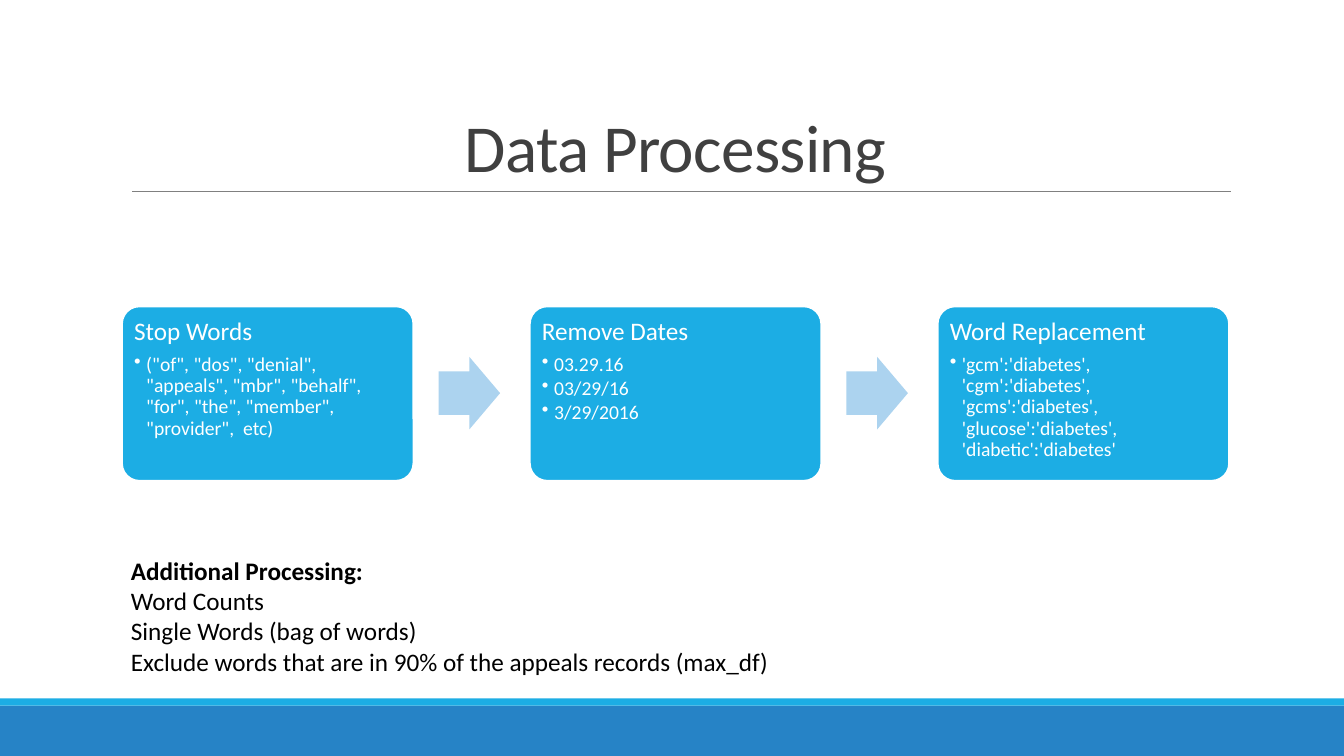
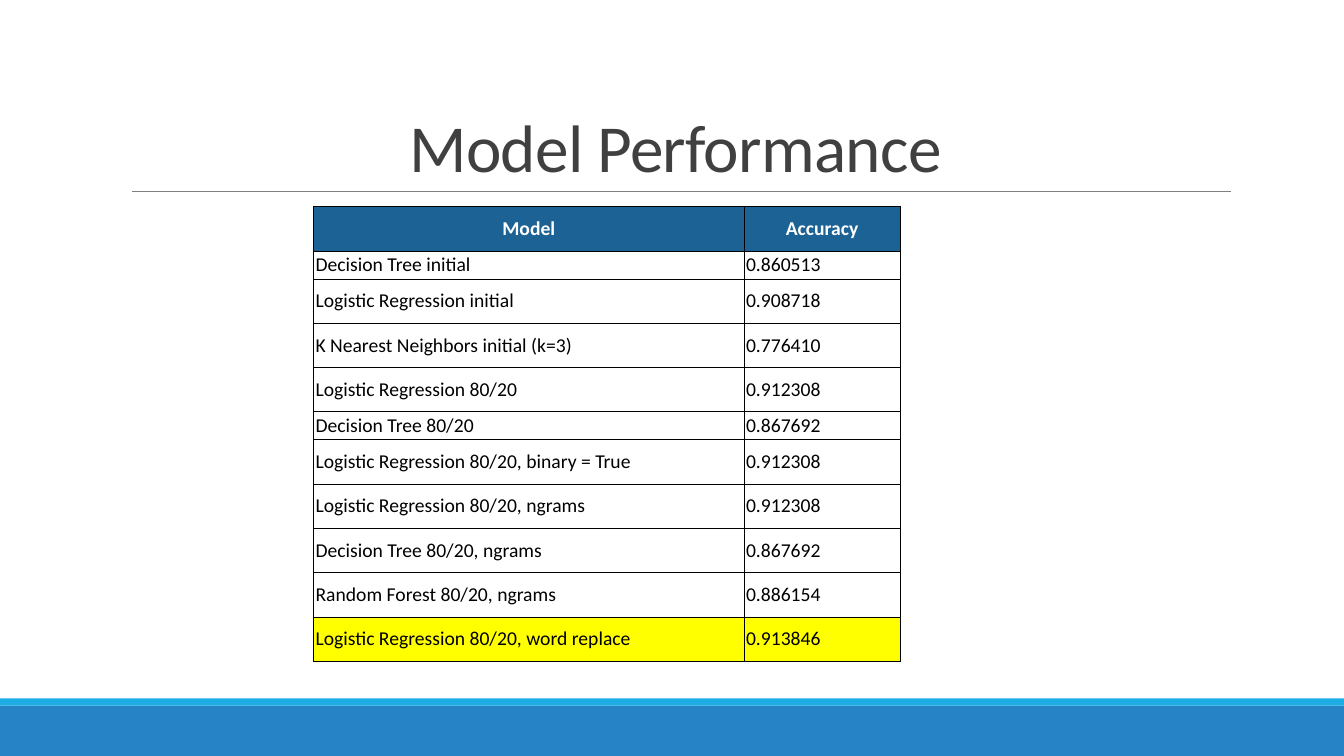
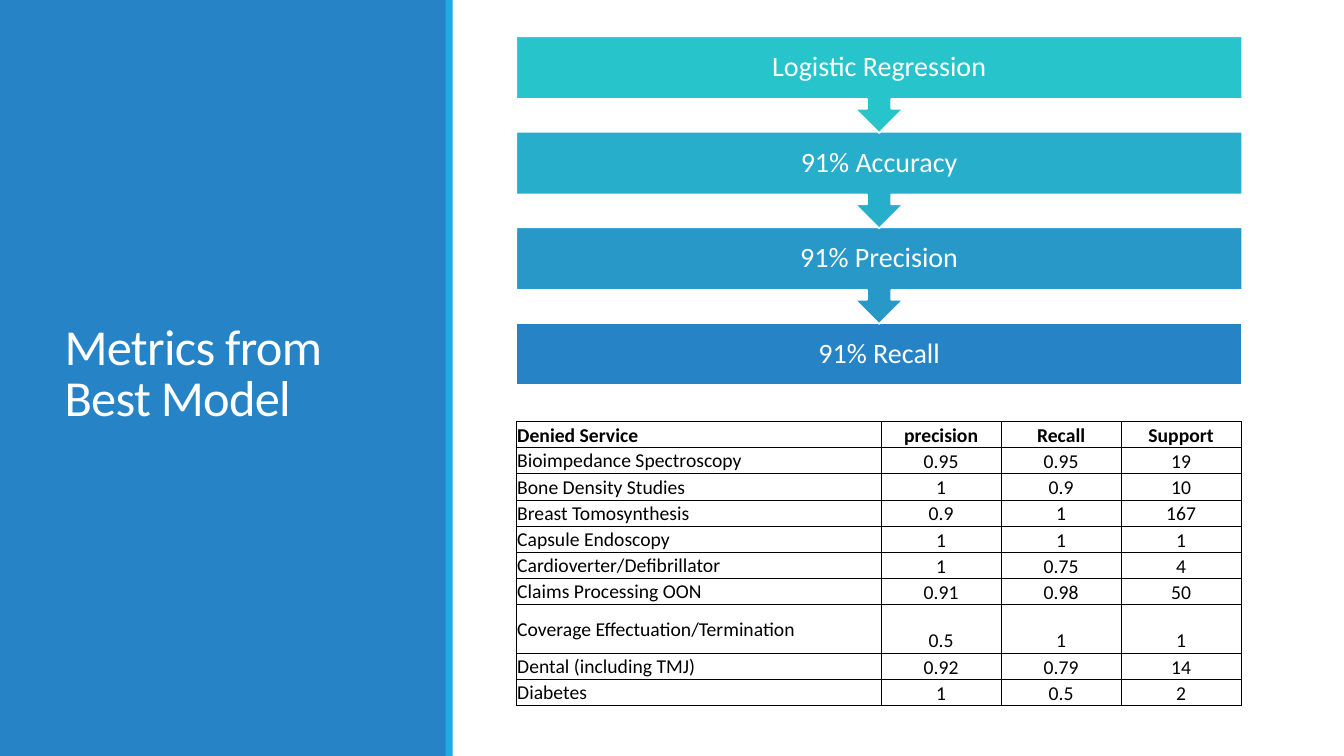
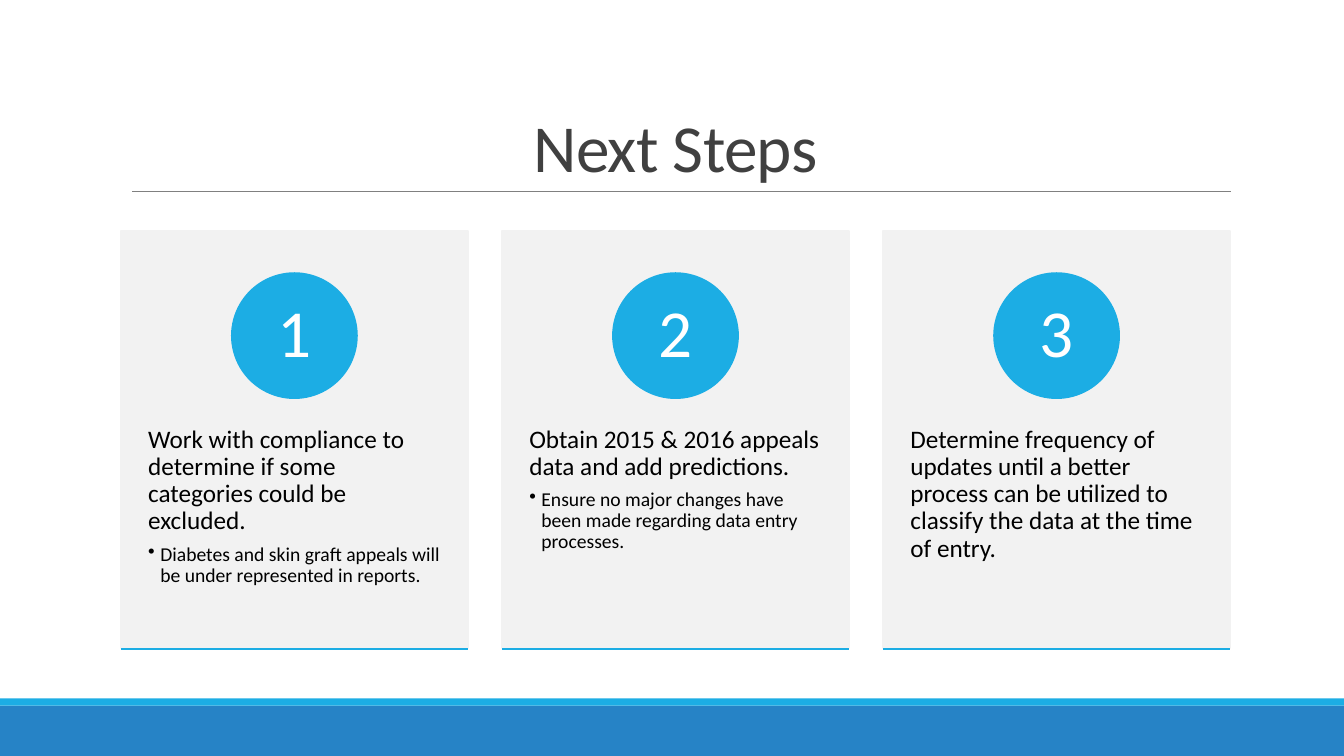
from lxml.etree import SubElement
from pptx import Presentation
from pptx.dml.color import RGBColor
from pptx.enum.shapes import MSO_CONNECTOR, MSO_SHAPE
from pptx.enum.text import MSO_ANCHOR, MSO_AUTO_SIZE, PP_ALIGN
from pptx.oxml.ns import qn
from pptx.util import Inches, Pt

FONT = "Calibri"
COLORS = {
    "blue": "2683C6", "cyan": "1CADE4", "pale": "ACD3EF", "navy": "1D6294",
    "steel": "2798C8", "teal": "27AECA", "aqua": "28C4CC",
    "title": "404040", "rule": "808080", "card": "F2F2F2",
    "yellow": "FFFF00", "white": "FFFFFF", "black": "000000",
}

PROCESS_STEPS = [
    ("Stop Words", ['("of", "dos", "denial", "appeals", "mbr", "behalf", "for", '
                    '"the", "member", "provider",  etc)']),
    ("Remove Dates", ["03.29.16", "03/29/16", "3/29/2016"]),
    ("Word Replacement", ["'gcm':'diabetes', 'cgm':'diabetes', 'gcms':'diabetes', "
                          "'glucose':'diabetes', 'diabetic':'diabetes'"]),
]
EXTRA_PROCESSING = [
    "Additional Processing:", "Word Counts", "Single Words (bag of words)",
    "Exclude words that are in 90% of the appeals records (max_df)",
]
MODEL_ROWS = [
    ("Model", "Accuracy"),
    ("Decision Tree initial", "0.860513"),
    ("Logistic Regression initial", "0.908718"),
    ("K Nearest Neighbors initial (k=3)", "0.776410"),
    ("Logistic Regression 80/20", "0.912308"),
    ("Decision Tree 80/20", "0.867692"),
    ("Logistic Regression 80/20, binary = True", "0.912308"),
    ("Logistic Regression 80/20, ngrams", "0.912308"),
    ("Decision Tree 80/20, ngrams", "0.867692"),
    ("Random Forest 80/20, ngrams", "0.886154"),
    ("Logistic Regression 80/20, word replace", "0.913846"),
]
METRICS = [("Logistic Regression", "aqua"), ("91% Accuracy", "teal"),
           ("91% Precision", "steel"), ("91% Recall", "blue")]
SERVICE_ROWS = [
    ("Denied Service", "precision", "Recall", "Support"),
    ("Bioimpedance Spectroscopy", "0.95", "0.95", "19"),
    ("Bone Density Studies", "1", "0.9", "10"),
    ("Breast Tomosynthesis", "0.9", "1", "167"),
    ("Capsule Endoscopy", "1", "1", "1"),
    ("Cardioverter/Defibrillator", "1", "0.75", "4"),
    ("Claims Processing OON", "0.91", "0.98", "50"),
    ("Coverage Effectuation/Termination", "0.5", "1", "1"),
    ("Dental (including TMJ)", "0.92", "0.79", "14"),
    ("Diabetes", "1", "0.5", "2"),
]
NEXT_STEPS = [
    ("Work with compliance to determine if some categories could be excluded.",
     ["Diabetes and skin graft appeals will be under represented in reports."]),
    ("Obtain 2015 & 2016 appeals data and add predictions.",
     ["Ensure no major changes have been made regarding data entry processes."]),
    ("Determine frequency of updates until a better process can be utilized to "
     "classify the data at the time of entry.", []),
]


def rgb(name):
    """Return the named colour."""
    return RGBColor.from_string(COLORS[name])


def format_paragraph(p, size, color, bold=False, align=PP_ALIGN.LEFT,
                     spacing=None, after=0):
    """Format a paragraph and its runs; after is a share of the text size."""
    p.alignment = align
    if spacing:
        p.line_spacing = spacing
    p.space_after = Pt(size * after)
    for r in p.runs:
        r.font.name = FONT
        r.font.size = Pt(size)
        r.font.bold = bold
        r.font.color.rgb = rgb(color)


def add_bullet(p):
    """Give a paragraph a hanging bullet."""
    pPr = p._p.get_or_add_pPr()
    pPr.set("marL", str(Inches(0.12)))
    pPr.set("indent", str(-Inches(0.12)))
    SubElement(pPr, qn("a:buChar")).set("char", "•")


def set_frame(tf, margins, anchor=MSO_ANCHOR.TOP):
    """Set wrapping, anchor and the left, top, right and bottom margins."""
    tf.word_wrap = True
    tf.vertical_anchor = anchor
    (tf.margin_left, tf.margin_top,
     tf.margin_right, tf.margin_bottom) = [Inches(m) for m in margins]


def add_box(s, kind, x, y, w, h, fill, line=None):
    """Add a filled preset shape, outlined only if a line colour is named."""
    sp = s.shapes.add_shape(kind, Inches(x), Inches(y), Inches(w), Inches(h))
    sp.shadow.inherit = False
    sp.fill.solid()
    sp.fill.fore_color.rgb = rgb(fill)
    if line:
        sp.line.color.rgb = rgb(line)
        sp.line.width = Pt(1.25)
    else:
        sp.line.fill.background()
    return sp


def add_rule(s, x, y, w, color, width):
    """Add a horizontal line."""
    line = s.shapes.add_connector(MSO_CONNECTOR.STRAIGHT, Inches(x), Inches(y),
                                  Inches(x + w), Inches(y))
    line.line.color.rgb = rgb(color)
    line.line.width = Pt(width)
    SubElement(line._element.spPr, qn("a:effectLst"))
    return line


def write_label(sp, text, size, margins):
    """Write one centred white line in a shape."""
    tf = sp.text_frame
    tf.text = text
    set_frame(tf, margins, MSO_ANCHOR.MIDDLE)
    format_paragraph(tf.paragraphs[0], size, "white", align=PP_ALIGN.CENTER,
                     spacing=0.9)


def write_outline(sp, heading, points, color, margins):
    """Write a heading with bullets below it in a shape."""
    tf = sp.text_frame
    tf.text = heading
    set_frame(tf, margins)
    format_paragraph(tf.paragraphs[0], 18, color, spacing=0.9, after=0.35)
    for point in points:
        p = tf.add_paragraph()
        p.text = point
        p.level = 1
        format_paragraph(p, 14, color, spacing=0.9, after=0.15)
        add_bullet(p)


def add_title(s, text, x=1.2, y=0.31, w=11, h=1.59, size=48, color="title",
              align=PP_ALIGN.CENTER, anchor=MSO_ANCHOR.BOTTOM):
    """Place and format the title placeholder."""
    title = s.shapes.title
    title.left, title.top = Inches(x), Inches(y)
    title.width, title.height = Inches(w), Inches(h)
    tf = title.text_frame
    tf.text = text
    tf.auto_size = MSO_AUTO_SIZE.NONE
    set_frame(tf, (0.1, 0.05, 0.1, 0.05), anchor)
    p = tf.paragraphs[0]
    format_paragraph(p, size, color, align=align, spacing=0.85)
    p.runs[0].font._element.set("spc", "-50")


def decorate_layout(s):
    """Give the layout of a slide its bottom bands and title rule."""
    layout = s.slide_layout
    for ph in list(layout.placeholders):
        if ph.placeholder_format.idx >= 10:
            layout.shapes.element.remove(ph.element)
    for part in (add_box(s, MSO_SHAPE.RECTANGLE, 0, 7, 13.33, 0.5, "blue"),
                 add_box(s, MSO_SHAPE.RECTANGLE, 0, 6.93, 13.33, 0.07, "cyan"),
                 add_rule(s, 1.31, 1.9, 10.9, "rule", 0.5)):
        layout.shapes.element.append(part.element)


def add_borders(cell):
    """Draw thin black lines around a table cell."""
    tcPr = cell._tc.get_or_add_tcPr()
    for side in ("a:lnL", "a:lnR", "a:lnT", "a:lnB"):
        ln = SubElement(tcPr, qn(side), w=str(Pt(0.5)))
        fill = SubElement(ln, qn("a:solidFill"))
        SubElement(fill, qn("a:srgbClr"), val=COLORS["black"])


def add_grid(s, x, y, widths, heights, rows, margins, style):
    """Add a table; style(i, j) gives fill, text colour, alignment and anchor."""
    table = s.shapes.add_table(len(rows), len(widths), Inches(x), Inches(y),
                               Inches(sum(widths)), Inches(sum(heights))).table
    table.first_row = table.horz_banding = False
    for column, width in zip(table.columns, widths):
        column.width = Inches(width)
    for i, (row, height) in enumerate(zip(rows, heights)):
        table.rows[i].height = Inches(height)
        for j, text in enumerate(row):
            fill, color, align, anchor = style(i, j)
            cell = table.cell(i, j)
            cell.text = text
            cell.vertical_anchor = anchor
            (cell.margin_left, cell.margin_top,
             cell.margin_right, cell.margin_bottom) = [Inches(m) for m in margins]
            format_paragraph(cell.text_frame.paragraphs[0], 14, color,
                             bold=i == 0, align=align)
            add_borders(cell)
            if fill:
                cell.fill.solid()
                cell.fill.fore_color.rgb = rgb(fill)
            else:
                cell.fill.background()


def model_style(i, j):
    """Style the model table: dark header, best model highlighted."""
    if i == 0:
        return "navy", "white", PP_ALIGN.CENTER, MSO_ANCHOR.MIDDLE
    fill = "yellow" if i == len(MODEL_ROWS) - 1 else "white"
    return fill, "black", PP_ALIGN.LEFT, MSO_ANCHOR.MIDDLE


def service_style(i, j):
    """Style the service table: names left, figures centred at the bottom."""
    align = PP_ALIGN.CENTER if j else PP_ALIGN.LEFT
    anchor = MSO_ANCHOR.MIDDLE if i and not j else MSO_ANCHOR.BOTTOM
    return None, "black", align, anchor


def fill_processing(s):
    """Show the processing steps as a flow, with further steps below."""
    add_title(s, "Data Processing")
    for i, (heading, points) in enumerate(PROCESS_STEPS):
        x = 1.21 + i * 4.045
        step = add_box(s, MSO_SHAPE.ROUNDED_RECTANGLE, x, 3.04, 2.89, 1.73,
                       "cyan", "white")
        step.adjustments[0] = 0.1
        write_outline(step, heading, points, "white", (0.07,) * 4)
        if i < len(PROCESS_STEPS) - 1:
            arrow = add_box(s, MSO_SHAPE.RIGHT_ARROW, x + 3.14, 3.54, 0.61, 0.72,
                            "pale")
            arrow.adjustments[0] = 0.6
    box = s.shapes.add_textbox(Inches(1.2), Inches(5.46), Inches(6.95), Inches(1.31))
    tf = box.text_frame
    tf.word_wrap = True
    tf.text = "\n".join(EXTRA_PROCESSING)
    for i, p in enumerate(tf.paragraphs):
        format_paragraph(p, 18, "black", bold=i == 0)


def fill_performance(s):
    """Compare the accuracy of the models."""
    add_title(s, "Model Performance")
    heights = [0.24 if row[0] in ("Decision Tree initial", "Decision Tree 80/20")
               else 0.44 for row in MODEL_ROWS]
    add_grid(s, 3.11, 2.05, (4.27, 1.55), heights, MODEL_ROWS, (0.02,) * 4,
             model_style)


def fill_metrics(s):
    """Show the metrics of the best model beside a title panel."""
    add_box(s, MSO_SHAPE.RECTANGLE, 0, 0, 4.43, 7.5, "blue")
    add_box(s, MSO_SHAPE.RECTANGLE, 4.42, 0, 0.07, 7.5, "cyan")
    title = s.shapes.title.element
    s.shapes.element.append(title)
    add_title(s, "Metrics from Best Model", 0.54, 0.57, 3.37, 6.31, 36, "white",
              PP_ALIGN.LEFT, MSO_ANCHOR.MIDDLE)
    last = len(METRICS) - 1
    for i, (text, fill) in reversed(list(enumerate(METRICS))):
        kind, h = ((MSO_SHAPE.RECTANGLE, 0.62) if i == last
                   else (MSO_SHAPE.DOWN_ARROW_CALLOUT, 0.96))
        metric = add_box(s, kind, 5.12, 0.36 + i * 0.947, 7.2, h, fill, "white")
        write_label(metric, text, 20, (0.16,) * 4)
    heights = [0.48 if row[0].startswith("Coverage") else 0.26
               for row in SERVICE_ROWS]
    add_grid(s, 5.12, 4.18, (3.62, 1.19, 1.19, 1.19), heights, SERVICE_ROWS,
             (0.01, 0.01, 0.01, 0), service_style)


def fill_next_steps(s):
    """Show the next steps as numbered cards."""
    add_title(s, "Next Steps")
    for i, (heading, points) in enumerate(NEXT_STEPS):
        x = 1.2 + i * 3.78
        card = add_box(s, MSO_SHAPE.RECTANGLE, x, 2.29, 3.44, 4.14, "card", "card")
        write_outline(card, heading, points, "black", (0.27, 1.94, 0.27, 0.44))
        badge = add_box(s, MSO_SHAPE.OVAL, x + 1.1, 2.71, 1.24, 1.24, "cyan", "cyan")
        write_label(badge, str(i + 1), 48, (0.1, 0.01, 0.1, 0.01))
        add_rule(s, x, 6.44, 3.44, "cyan", 1.25)


def main():
    """Build and save the presentation."""
    prs = Presentation()
    prs.slide_width, prs.slide_height = Inches(13.33), Inches(7.5)
    panel_layout, banded_layout = prs.slide_layouts[1], prs.slide_layouts[5]
    slides = [prs.slides.add_slide(layout) for layout in
              (banded_layout, banded_layout, panel_layout, banded_layout)]
    decorate_layout(slides[0])
    body = slides[2].placeholders[1].element
    slides[2].shapes.element.remove(body)
    for s, fill in zip(slides, (fill_processing, fill_performance,
                                fill_metrics, fill_next_steps)):
        fill(s)
    prs.save("out.pptx")


main()
